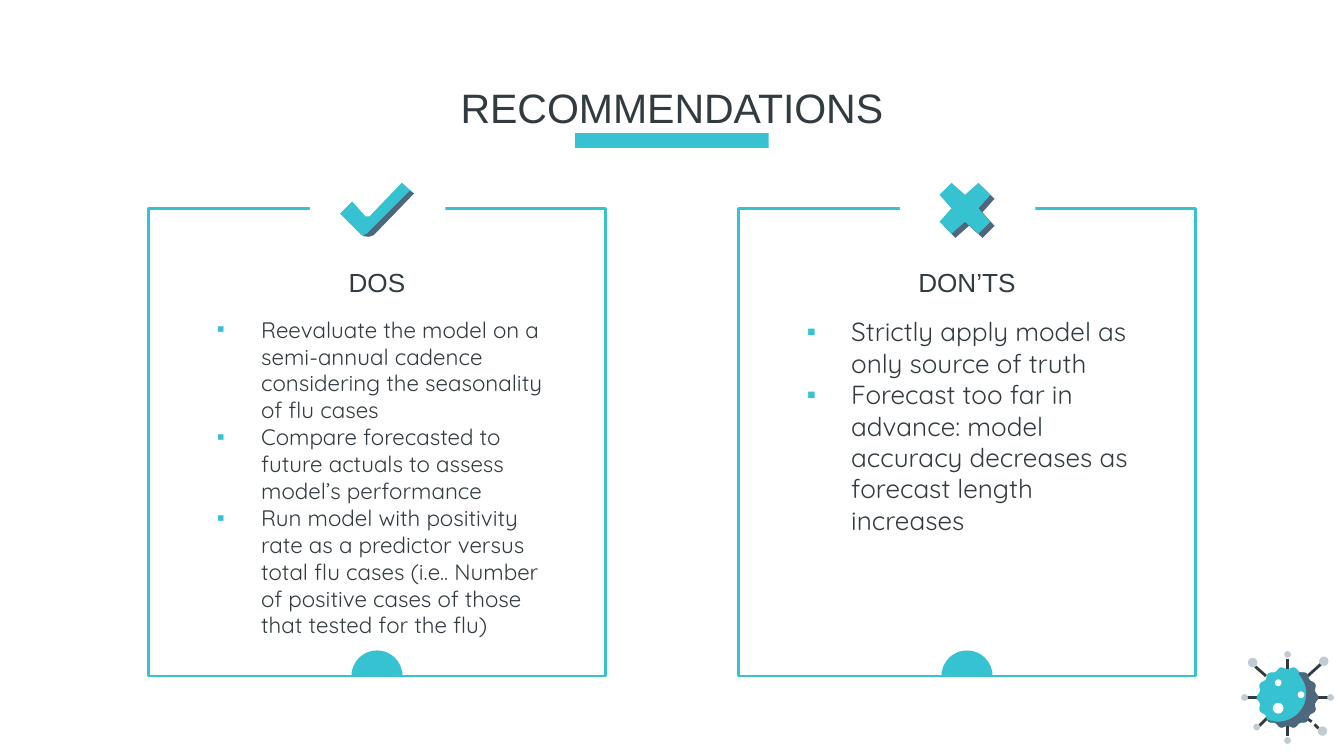
"""Build the recommendations slide with its dos and don'ts cards."""
import math

import pptx
import pptx.dml.color
import pptx.enum.shapes
import pptx.enum.text
import pptx.oxml.ns
import pptx.util
from lxml import etree

SHAPE = pptx.enum.shapes.MSO_SHAPE
ALIGN = pptx.enum.text.PP_ALIGN
ANCHOR = pptx.enum.text.MSO_ANCHOR
TEAL, SLATE, INK, GREY, WHITE = "37C2D1", "4E677C", "323C40", "C1CBD2", "FFFFFF"
WIDTH = 10
HEIGHT = WIDTH * 9 / 16

TITLE = "RECOMMENDATIONS"
CARDS = [
    ("DOS", 12, [
        "Reevaluate the model on a semi-annual cadence considering the seasonality of flu cases",
        "Compare forecasted to future actuals to assess model’s performance",
        "Run model with positivity rate as a predictor versus total flu cases "
        "(i.e.. Number of positive cases of those that tested for the flu)",
    ]),
    ("DON’TS", 14, [
        "Strictly apply model as only source of truth",
        "Forecast too far in advance: model accuracy decreases as forecast length increases",
    ]),
]
CARD_W, CARD_H, CARD_TOP, CARD_GAP = 3.4, 3.48, 1.55, 0.99
CARD_LEFT = (WIDTH - 2 * CARD_W - CARD_GAP) / 2
TEXT_W = 2.92

CHECK = [(2.99, 1.36), (2.75, 1.61), (2.73, 1.61), (2.72, 1.61), (2.62, 1.5), (2.53, 1.59),
         (2.69, 1.75), (2.71, 1.76), (2.73, 1.76), (2.75, 1.76), (2.78, 1.75), (3.08, 1.44)]
CHECK_SHADE = [(3.05, 1.42), (2.73, 1.74), (2.7, 1.75), (2.73, 1.76), (2.75, 1.76),
               (2.78, 1.75), (3.08, 1.44)]
CROSS_ARM = [(0, -0.1), (0.09, -0.18), (0.1, -0.19), (0.11, -0.18),
             (0.18, -0.11), (0.19, -0.1), (0.18, -0.09)]
CROSS_CENTRE, CROSS_OFFSET = (7.18, 1.55), 0.03

VIRUS = (9.58, 5.19)
SPIKES = [((9.58, 4.9), (9.58, 4.98)), ((9.83, 4.94), (9.73, 5.03)),
          ((9.8, 5.19), (9.88, 5.19)), ((9.81, 5.42), (9.78, 5.39)),
          ((9.76, 5.37), (9.73, 5.35)), ((9.58, 5.4), (9.58, 5.48)),
          ((9.43, 5.34), (9.37, 5.4)), ((9.28, 5.19), (9.36, 5.19)),
          ((9.34, 4.96), (9.42, 5.03))]
SPOTS = [(9.51, 5.08, 0.05), (9.68, 5.17, 0.05), (9.51, 5.27, 0.08)]
KNOBS = [(9.58, 4.87, 0.05), (9.85, 4.92, 0.07), (9.9, 5.19, 0.05), (9.84, 5.44, 0.07),
         (9.58, 5.51, 0.05), (9.35, 5.41, 0.05), (9.26, 5.19, 0.05), (9.32, 4.93, 0.07)]


def rgb(value):
    """Turn a hex string into a colour."""
    return pptx.dml.color.RGBColor.from_string(value)


def inches(*values):
    """Turn numbers into lengths."""
    return [pptx.util.Inches(value) for value in values]


def paint(part, fill=None, line=None):
    """Set the fill and outline of a shape."""
    part.shadow.inherit = False
    if fill:
        part.fill.solid()
        part.fill.fore_color.rgb = rgb(fill)
    else:
        part.fill.background()
    if line:
        part.line.color.rgb = rgb(line)
        part.line.width = pptx.util.Pt(1.5)
    else:
        part.line.fill.background()
    return part


def preset(kind, *box, **colours):
    """Add a painted preset shape."""
    return paint(slide.shapes.add_shape(kind, *inches(*box)), **colours)


def outline(points, fill):
    """Add a closed filled outline."""
    start, *rest = [inches(*point) for point in points]
    builder = slide.shapes.build_freeform(*start, scale=1.0)
    builder.add_line_segments(rest, close=True)
    paint(builder.convert_to_shape(), fill)


def disc(x, y, size, fill):
    """Add a filled circle around a centre."""
    preset(SHAPE.OVAL, x - size / 2, y - size / 2, size, size, fill=fill)


def spike(start, end):
    """Add a dark line of the virus."""
    line = slide.shapes.add_connector(
        pptx.enum.shapes.MSO_CONNECTOR.STRAIGHT, *inches(*start, *end))
    line.line.color.rgb = rgb(INK)
    line.line.width = pptx.util.Pt(1.5)
    etree.SubElement(line._element.spPr, pptx.oxml.ns.qn("a:effectLst"))


def bullet(paragraph):
    """Give a paragraph a hanging square bullet."""
    props = paragraph._p.get_or_add_pPr()
    props.set("marL", str(pptx.util.Inches(0.5)))
    props.set("indent", str(pptx.util.Inches(-0.33)))
    colour = etree.SubElement(props, pptx.oxml.ns.qn("a:buClr"))
    etree.SubElement(colour, pptx.oxml.ns.qn("a:srgbClr")).set("val", TEAL)
    etree.SubElement(props, pptx.oxml.ns.qn("a:buFont")).set("typeface", "Arial")
    etree.SubElement(props, pptx.oxml.ns.qn("a:buChar")).set("char", "▪")


def write(lines, box, size, font="Arial", align=ALIGN.CENTER, anchor=ANCHOR.TOP,
          bullets=False, holder=None):
    """Write paragraphs into a placeholder or a new text box."""
    holder = holder or slide.shapes.add_textbox(*inches(*box))
    holder.left, holder.top, holder.width, holder.height = inches(*box)
    frame = holder.text_frame
    frame.word_wrap, frame.vertical_anchor = True, anchor
    frame.auto_size = pptx.enum.text.MSO_AUTO_SIZE.NONE
    frame.margin_left = frame.margin_right = pptx.util.Inches(0.1)
    frame.margin_top = frame.margin_bottom = pptx.util.Inches(0.1)
    frame.text = "\n".join(lines)
    for paragraph in frame.paragraphs:
        paragraph.alignment = align
        if bullets:
            bullet(paragraph)
        for run in paragraph.runs:
            run.font.name, run.font.size = font, pptx.util.Pt(size)
            run.font.color.rgb = rgb(INK)


def arc(centre, first, last, radius, wave=0):
    """List points on an arc, with fourteen lobes if it waves."""
    points = []
    for step in range(first, last, 4 if last > first else -4):
        angle = math.radians(step)
        reach = radius + wave * math.cos(14 * angle)
        points.append((centre[0] + reach * math.cos(angle), centre[1] + reach * math.sin(angle)))
    return points


def cross(shift):
    """List the points of the cross by turning one arm four times."""
    points, arm = [], CROSS_ARM
    for _ in range(4):
        points += [(CROSS_CENTRE[0] + x + shift, CROSS_CENTRE[1] + y + shift) for x, y in arm]
        arm = [(-y, x) for x, y in arm]
    return points


deck = pptx.Presentation()
deck.slide_width, deck.slide_height = inches(WIDTH, HEIGHT)
slide = deck.slides.add_slide(deck.slide_layouts[5])

write([TITLE], (0.78, 0.59, 8.44, 0.41), 22, anchor=ANCHOR.MIDDLE, holder=slide.shapes.title)
preset(SHAPE.RECTANGLE, WIDTH / 2 - 0.72, 0.99, 1.44, 0.11, fill=TEAL)

for column, (heading, size, advice) in enumerate(CARDS):
    left = CARD_LEFT + column * (CARD_W + CARD_GAP)
    middle = left + CARD_W / 2
    text_left = middle - TEXT_W / 2
    preset(SHAPE.RECTANGLE, left, CARD_TOP, CARD_W, CARD_H, line=TEAL)
    preset(SHAPE.RECTANGLE, middle - 0.5, 1.36, 1.01, 0.37, fill=WHITE)
    dome = preset(SHAPE.PIE, middle - 0.19, 4.84, 0.38, 0.38, fill=TEAL)
    dome.adjustments[0], dome.adjustments[1] = 108, 215.7
    write([heading], (text_left, 1.88, TEXT_W, 0.37), 14)
    write(advice, (text_left, 2.25, TEXT_W, 2.45), size, font="Quicksand",
          align=ALIGN.LEFT, bullets=True)

outline(CHECK, TEAL)
outline(CHECK_SHADE, SLATE)
outline(cross(CROSS_OFFSET), SLATE)
outline(cross(0), TEAL)

for ends in SPIKES:
    spike(*ends)
outline(arc(VIRUS, 0, 360, 0.22, 0.01), TEAL)
outline(arc(VIRUS, -64, 132, 0.22, 0.01) + arc((9.51, 5.16), 113, -45, 0.21), SLATE)
for spot in SPOTS:
    disc(*spot, WHITE)
for knob in KNOBS:
    disc(*knob, GREY)

deck.save("out.pptx")
